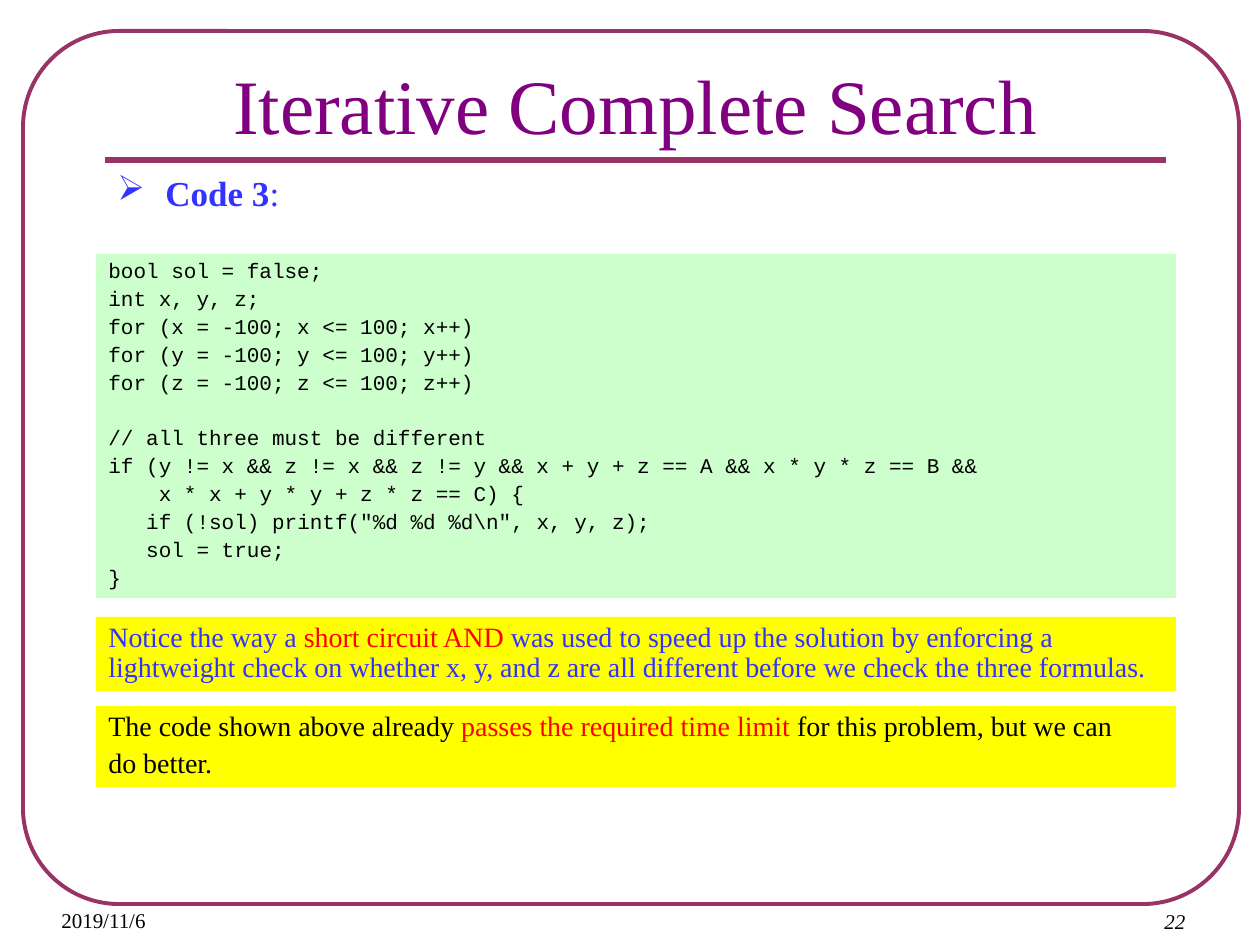
"""Build the Iterative Complete Search slide."""
from lxml.etree import SubElement
from pptx import Presentation
from pptx.dml.color import RGBColor
from pptx.enum.shapes import MSO_CONNECTOR, MSO_SHAPE
from pptx.enum.text import MSO_ANCHOR, PP_ALIGN
from pptx.oxml.ns import qn
from pptx.util import Pt

THEME = {
    "frame": "993366", "title": "800080", "accent": "3333FF", "text": "000000",
    "key": "FF0000", "code_fill": "CCFFCC", "note_fill": "FFFF00",
    "serif": "Times New Roman", "mono": "Courier New",
    "title_size": 44, "head_size": 20, "note_size": 16, "small_size": 12,
}

TITLE = "Iterative Complete Search"
HEADING = [("Code 3", "accent", {"bold": True}), (":", "accent", {})]
BULLET = "➢"
DATE, NUMBER = "2019/11/6", "22"
CODE = [
    (0, "bool sol = false;"),
    (0, "int x, y, z;"),
    (0, "for (x = -100; x <= 100; x++)"),
    (0, "for (y = -100; y <= 100; y++)"),
    (0, "for (z = -100; z <= 100; z++)"),
    (0, "// all three must be different"),
    (0, "if (y != x && z != x && z != y && x + y + z == A && x * y * z == B &&"),
    (4, "x * x + y * y + z * z == C) {"),
    (3, 'if (!sol) printf("%d %d %d\\n", x, y, z);'),
    (3, "sol = true;"),
    (0, "}"),
]
SECTION_START = 5
NOTES = [
    (617, 74, [[
        ("Notice the way a ", "accent", {}),
        ("short circuit AND ", "key", {}),
        ("was used to speed up the solution by enforcing a lightweight check on "
         "whether x, y, and z are all different before we check the three formulas.",
         "accent", {}),
    ]]),
    (706, 81, [
        [("The code shown above already ", "text", {}),
         ("passes the required time limit ", "key", {}),
         ("for this problem, but we can", "text", {})],
        [("do better.", "text", {})],
    ]),
]
PANEL_LEFT, PANEL_WIDTH = 96, 1080
CONTENT_LEFT, CONTENT_WIDTH = 105, 1061
LINE_SPACING = 0.9
CODE_GAP, SECTION_GAP, NOTE_GAP = Pt(3.1), Pt(18.4), Pt(3.7)
CODE_CHAR = Pt(7.2)


def px(n):
    return round(n * 914400 / 126)


def color(name):
    return RGBColor.from_string(THEME[name])


def add_runs(p, runs, size, font="serif"):
    for text, tint, style in runs:
        r = p.add_run()
        r.text = text
        r.font.name, r.font.size = THEME[font], Pt(THEME[size])
        r.font.color.rgb = color(tint)
        r.font.bold = style.get("bold", False)
        r.font.italic = style.get("italic", False)


def add_text(s, box, runs, size):
    sp = s.shapes.add_textbox(*map(px, box))
    tf = sp.text_frame
    tf.word_wrap = True
    add_runs(tf.paragraphs[0], runs, size)
    return tf


def add_panel(s, top, height, fill):
    sp = s.shapes.add_shape(MSO_SHAPE.RECTANGLE, px(PANEL_LEFT), px(top),
                            px(PANEL_WIDTH), px(height))
    sp.shadow.inherit = False
    sp.fill.solid()
    sp.fill.fore_color.rgb = color(fill)
    sp.line.fill.background()
    tf = sp.text_frame
    tf.word_wrap = True
    tf.vertical_anchor = MSO_ANCHOR.TOP
    return tf


def add_line(tf, index, gap):
    p = tf.add_paragraph() if index else tf.paragraphs[0]
    p.alignment = PP_ALIGN.LEFT
    p.line_spacing = LINE_SPACING
    p.space_before = gap if index else Pt(0)
    return p


def add_frame(s):
    sp = s.shapes.add_shape(MSO_SHAPE.ROUNDED_RECTANGLE, px(23), px(31), px(1216), px(873))
    sp.adjustments[0] = 0.11
    sp.shadow.inherit = False
    sp.fill.background()
    rule = s.shapes.add_connector(MSO_CONNECTOR.STRAIGHT, px(CONTENT_LEFT), px(160),
                                  px(CONTENT_LEFT + CONTENT_WIDTH), px(160))
    SubElement(rule.line._get_or_add_ln().getparent(), qn("a:effectLst"))
    for shape, width in ((sp, 2.25), (rule, 3)):
        shape.line.color.rgb = color("frame")
        shape.line.width = Pt(width)


def add_headings(s):
    tf = add_text(s, (CONTENT_LEFT, 55, CONTENT_WIDTH, 101),
                  [(TITLE, "title", {})], "title_size")
    tf.vertical_anchor = MSO_ANCHOR.BOTTOM
    tf.paragraphs[0].alignment = PP_ALIGN.CENTER
    tf = add_text(s, (CONTENT_LEFT, 165, CONTENT_WIDTH, 60), HEADING, "head_size")
    pPr = tf.paragraphs[0]._p.get_or_add_pPr()
    pPr.set("marL", str(px(48)))
    pPr.set("indent", str(-px(48)))
    tint = SubElement(pPr, qn("a:buClr"))
    SubElement(tint, qn("a:srgbClr")).set("val", THEME["accent"])
    SubElement(pPr, qn("a:buChar")).set("char", BULLET)


def add_code(s):
    tf = add_panel(s, 254, 344, "code_fill")
    for i, (indent, text) in enumerate(CODE):
        p = add_line(tf, i, SECTION_GAP if i == SECTION_START else CODE_GAP)
        p._p.get_or_add_pPr().set("marL", str(indent * CODE_CHAR))
        add_runs(p, [(text, "text", {})], "small_size", "mono")


def add_notes(s):
    for top, height, lines in NOTES:
        tf = add_panel(s, top, height, "note_fill")
        for i, runs in enumerate(lines):
            add_runs(add_line(tf, i, NOTE_GAP), runs, "note_size")


def main():
    prs = Presentation()
    prs.slide_width, prs.slide_height = px(1260), px(945)
    s = prs.slides.add_slide(prs.slide_layouts[6])
    add_frame(s)
    add_headings(s)
    add_text(s, (49, 901, 139, 33), [(DATE, "text", {})], "small_size")
    add_text(s, (1152, 902, 79, 28), [(NUMBER, "text", {"italic": True})], "small_size")
    add_code(s)
    add_notes(s)
    prs.save("out.pptx")


if __name__ == "__main__":
    main()
